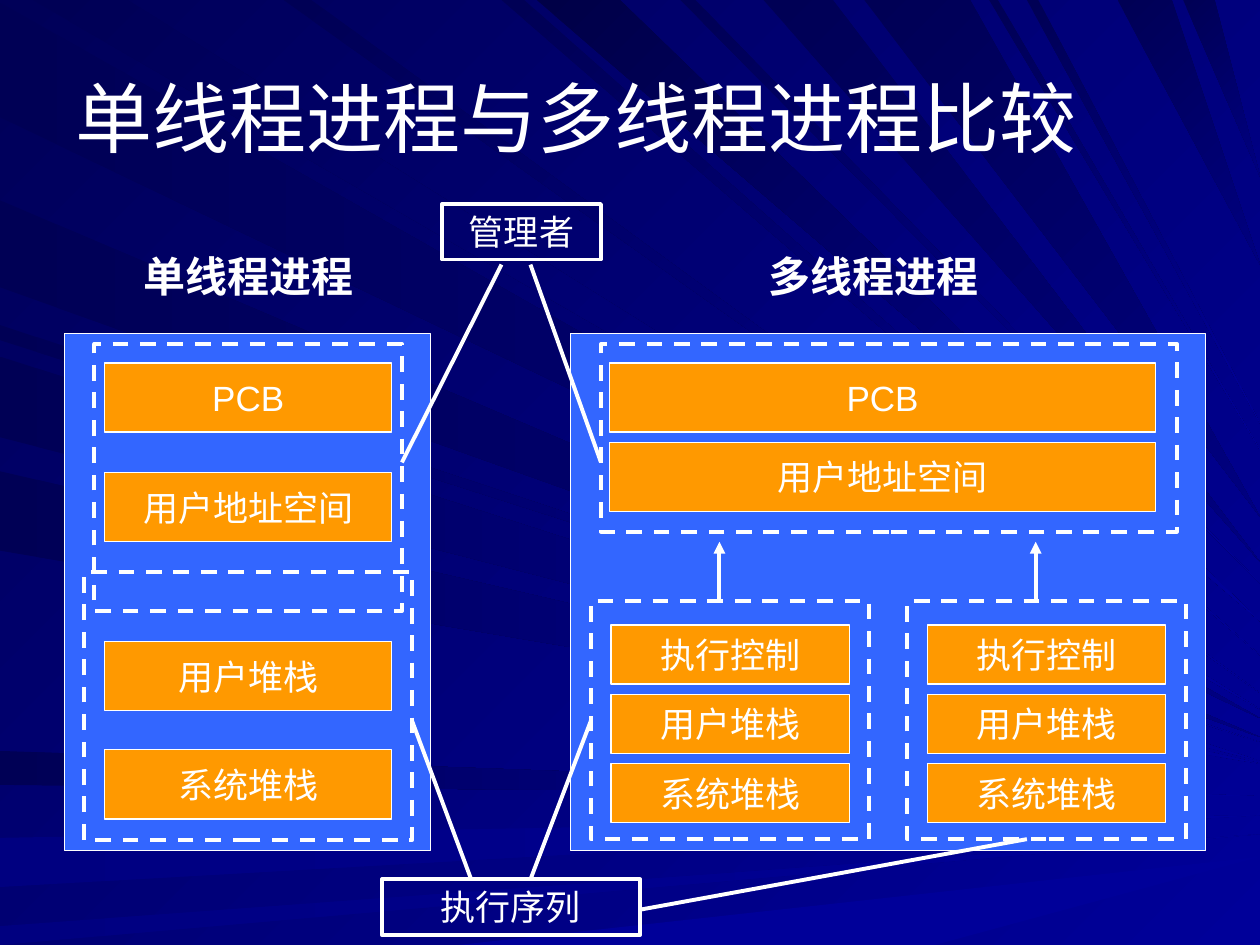
"""Builds a slide comparing single-threaded and multi-threaded processes."""
from typing import NamedTuple, Optional

from lxml import etree
from pptx import Presentation
from pptx.dml.color import RGBColor
from pptx.enum.dml import MSO_LINE
from pptx.enum.shapes import MSO_CONNECTOR, MSO_SHAPE
from pptx.enum.text import MSO_ANCHOR, PP_ALIGN
from pptx.oxml.ns import qn
from pptx.util import Cm, Pt

RECT, STRAIGHT = MSO_SHAPE.RECTANGLE, MSO_CONNECTOR.STRAIGHT
DASH = MSO_LINE.DASH
CENTER, LEFT = PP_ALIGN.CENTER, PP_ALIGN.LEFT
MIDDLE, TOP = MSO_ANCHOR.MIDDLE, MSO_ANCHOR.TOP
WHITE, BLUE, ORANGE = "FFFFFF", "3366FF", "FF9900"
DARK, NAVY, ROYAL = "000055", "000080", "000099"
THIN, THICK = 0.75, 2.25
WIDTH, HEIGHT = 10, 7.5


class Ray(NamedTuple):
    """A ray in inches, from a span of one slide edge to a tip on the right edge."""
    near: float
    far: float
    tip: float
    start: str = DARK
    end: str = ROYAL


class Box(NamedTuple):
    """A rectangle in inches with optional fill, text and dashed outline."""
    x: float
    y: float
    w: float
    h: float
    fill: Optional[str] = None
    text: str = ""
    weight: float = THIN
    dashed: bool = False
    anchor: MSO_ANCHOR = MIDDLE


class Caption(NamedTuple):
    """A free text in inches."""
    x: float
    y: float
    w: float
    h: float
    text: str
    size: int = 24
    bold: bool = True
    align: PP_ALIGN = CENTER
    anchor: MSO_ANCHOR = TOP


class Link(NamedTuple):
    """A straight line in inches, with an optional arrowhead at its end."""
    x1: float
    y1: float
    x2: float
    y2: float
    arrow: bool = False


LEFT_RAYS = [
    Ray(0.02, 0.93, 5.7, DARK, NAVY),
    Ray(5.96, 6.23, 6.32),
    Ray(6.65, 7.04, 6.47, NAVY),
    Ray(7.35, 7.5, 6.62, NAVY),
    Ray(2.58, 2.7, 5.89),
    Ray(1.59, 2.28, 5.85, DARK, NAVY),
    Ray(3.74, 4.37, 6.06),
    Ray(2.83, 3.47, 6.04),
]
TOP_RAYS = [
    Ray(0.26, 1.01, 5.63),
    Ray(2.25, 2.47, 5.5),
    Ray(3.98, 4.16, 5.2),
    Ray(4.26, 4.92, 4.93, "000047"),
    Ray(5.4, 5.52, 4.63),
    Ray(6.06, 6.61, 4.46, DARK, NAVY),
    Ray(6.86, 7.7, 4.1, DARK, NAVY),
    Ray(7.85, 7.92, 3.57),
    Ray(8.15, 8.24, 3.36),
    Ray(8.87, 9.3, 2.1, DARK, NAVY),
    Ray(9.39, 9.64, 1.4, DARK, NAVY),
]
BOTTOM_RAYS = [Ray(3.64, 7.42, 6.8, ROYAL)]
SINGLE_PARTS = [("PCB", 2.88), ("用户地址空间", 3.75), ("用户堆栈", 5.09), ("系统堆栈", 5.95)]
SHARED_PARTS = [("PCB", 2.88), ("用户地址空间", 3.51)]
THREAD_PARTS = ["执行控制", "用户堆栈", "系统堆栈"]
THREADS_X = [4.69, 7.2]
CAPTIONS = [
    Caption(0.5, 0.3, 9, 1.25, "单线程进程与多线程进程比较", 44, False, LEFT, MIDDLE),
    Caption(0.83, 1.94, 2.28, 0.5, "单线程进程"),
    Caption(5.79, 1.94, 2.28, 0.5, "多线程进程"),
]
BOXES = [
    Box(0.51, 2.65, 2.91, 4.1, BLUE),
    *(Box(0.83, y, 2.28, 0.55, ORANGE, text) for text, y in SINGLE_PARTS),
    Box(0.67, 4.54, 2.6, 2.13, weight=THICK, dashed=True),
    Box(0.75, 2.73, 2.44, 2.12, weight=THICK, dashed=True),
    Box(4.53, 2.65, 5.04, 4.1, BLUE),
    *(Box(4.84, y, 4.33, 0.55, ORANGE, text) for text, y in SHARED_PARTS),
    Box(4.77, 2.73, 4.57, 1.49, weight=THICK, dashed=True),
    *(Box(x, 4.77, 2.21, 1.89, weight=THICK, dashed=True) for x in THREADS_X),
    *(Box(x + 0.16, 4.96 + 0.55 * i, 1.89, 0.47, ORANGE, text)
      for x in THREADS_X for i, text in enumerate(THREAD_PARTS)),
    Box(3.51, 1.62, 1.26, 0.44, None, "管理者", THICK, anchor=TOP),
    Box(3.03, 6.98, 2.05, 0.44, None, "执行序列", THICK, anchor=TOP),
]
LINKS = [
    Link(3.98, 2.1, 3.19, 3.67),
    Link(4.21, 2.1, 4.77, 3.67),
    *(Link(x + 1.02, 4.77, x + 1.02, 4.3, True) for x in THREADS_X),
    Link(3.27, 5.72, 3.74, 6.98),
    Link(4.69, 5.72, 4.21, 6.98),
    Link(8.15, 6.66, 5.08, 7.22),
]


def length(inches: float) -> Cm:
    """Turn inches into a length in centimetres."""
    return Cm(inches * 2.54)


def rgb(color: str) -> RGBColor:
    """Turn a hex string into a colour."""
    return RGBColor.from_string(color)


def set_gradient(fill, start: str, end: str, angle: int) -> None:
    """Fill with two colours along a clockwise angle."""
    fill.gradient()
    fill.gradient_angle = -angle % 360
    for stop, color in zip(fill.gradient_stops, (start, end)):
        stop.color.rgb = rgb(color)


def set_text(sp, text: str, size: int, bold: bool, align: PP_ALIGN, anchor: MSO_ANCHOR, wrap: bool) -> None:
    """Write one white paragraph into a shape."""
    tf = sp.text_frame
    tf.word_wrap, tf.vertical_anchor = wrap, anchor
    p = tf.paragraphs[0]
    p.text, p.alignment = text, align
    p.font.name, p.font.size, p.font.bold = "Arial", Pt(size), bold
    p.font.color.rgb = rgb(WHITE)


def draw_ray(s, ray: Ray, points: list, angle: int) -> None:
    """Draw one ray from its two edge points to its tip."""
    corners = [(length(x), length(y)) for x, y in [*points, (WIDTH, ray.tip)]]
    builder = s.shapes.build_freeform(*corners[0])
    builder.add_line_segments(corners[1:], close=True)
    sp = builder.convert_to_shape()
    sp.shadow.inherit = False
    sp.line.fill.background()
    set_gradient(sp.fill, ray.start, ray.end, angle)


def draw_background(s) -> None:
    """Draw the backdrop and the rays from the left, top and bottom edges."""
    set_gradient(s.background.fill, "000058", ROYAL, 45)
    for ray in LEFT_RAYS:
        draw_ray(s, ray, [(0, ray.near), (0, ray.far)], 0)
    for rays, y in ((TOP_RAYS, 0), (BOTTOM_RAYS, HEIGHT)):
        for ray in rays:
            draw_ray(s, ray, [(ray.near, y), (ray.far, y)], 45)


def draw_box(s, box: Box) -> None:
    """Draw one rectangle with its text."""
    sp = s.shapes.add_shape(RECT, *map(length, box[:4]))
    sp.shadow.inherit = False
    if box.fill:
        sp.fill.solid()
        sp.fill.fore_color.rgb = rgb(box.fill)
    else:
        sp.fill.background()
    sp.line.color.rgb, sp.line.width = rgb(WHITE), Pt(box.weight)
    if box.dashed:
        sp.line.dash_style = DASH
    if box.text:
        set_text(sp, box.text, 20, False, CENTER, box.anchor, box.anchor == TOP)


def draw_caption(s, c: Caption) -> None:
    """Draw one free text."""
    sp = s.shapes.add_textbox(*map(length, c[:4]))
    set_text(sp, c.text, c.size, c.bold, c.align, c.anchor, True)


def draw_link(s, link: Link) -> None:
    """Draw one line or arrow."""
    cx = s.shapes.add_connector(STRAIGHT, *map(length, link[:4]))
    cx.line.color.rgb, cx.line.width = rgb(WHITE), Pt(THICK)
    if link.arrow:
        etree.SubElement(cx.line._get_or_add_ln(), qn("a:tailEnd"), type="triangle")
    etree.SubElement(cx._element.spPr, qn("a:effectLst"))


def main() -> None:
    """Build and save the slide."""
    prs = Presentation()
    prs.slide_width, prs.slide_height = length(WIDTH), length(HEIGHT)
    s = prs.slides.add_slide(prs.slide_layouts[6])
    draw_background(s)
    for items, draw in ((CAPTIONS, draw_caption), (BOXES, draw_box), (LINKS, draw_link)):
        for item in items:
            draw(s, item)
    prs.save("out.pptx")


if __name__ == "__main__":
    main()
